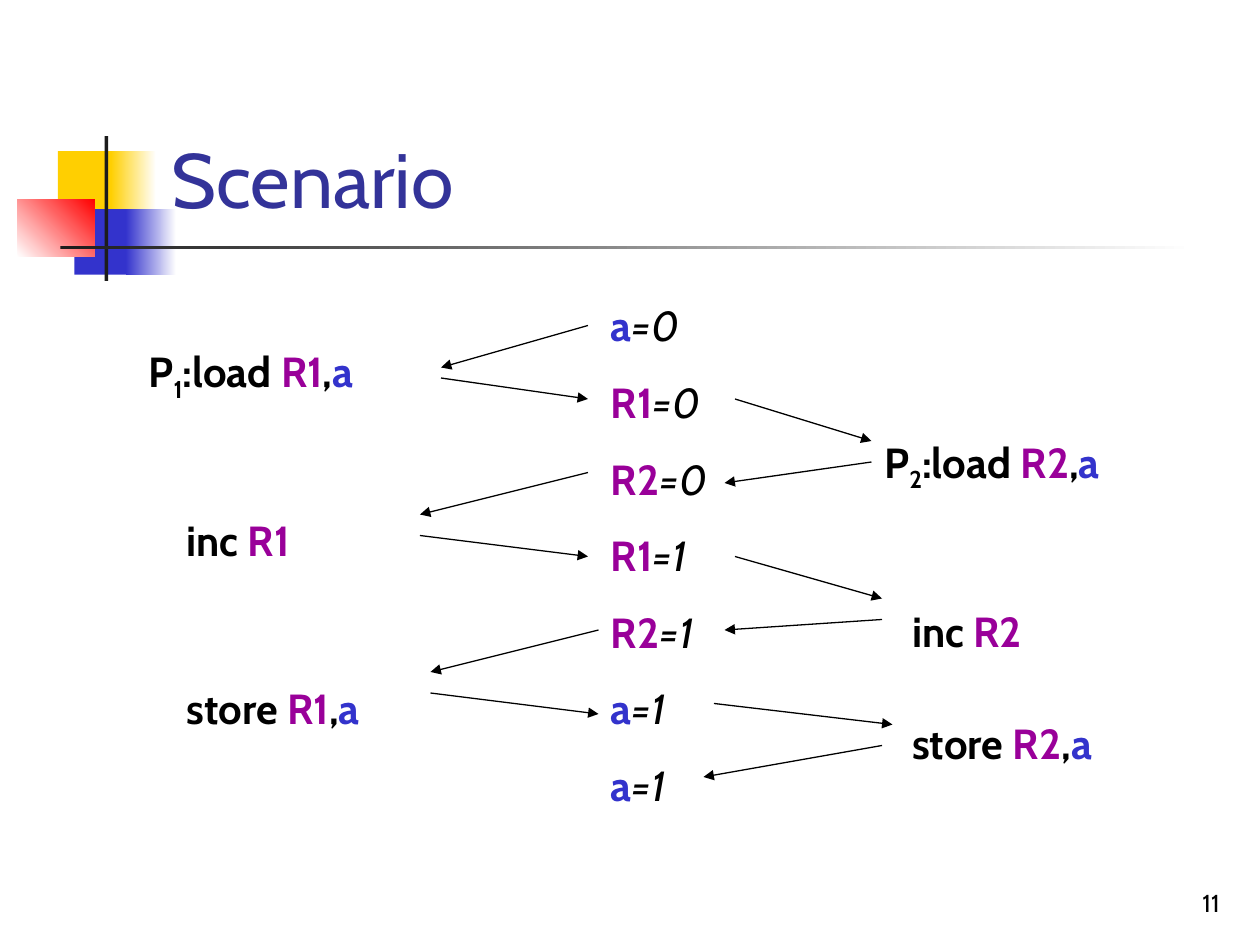
from dataclasses import dataclass

from lxml.etree import SubElement
from pptx import Presentation
from pptx.dml.color import RGBColor
from pptx.enum.shapes import MSO_CONNECTOR, MSO_SHAPE
from pptx.enum.text import MSO_ANCHOR, MSO_AUTO_SIZE, PP_ALIGN
from pptx.oxml.ns import qn
from pptx.util import Inches, Pt

FONT = "Cabin"
BLACK = RGBColor(0x00, 0x00, 0x00)
WHITE = RGBColor(0xFF, 0xFF, 0xFF)
CHARCOAL = RGBColor(0x1C, 0x1C, 0x1C)
YELLOW = RGBColor(0xFF, 0xCF, 0x01)
RED = RGBColor(0xFF, 0x00, 0x00)
BLUE = RGBColor(0x33, 0x33, 0xCC)
NAVY = RGBColor(0x33, 0x33, 0x99)
PURPLE = RGBColor(0x99, 0x00, 0x99)

CELL = Inches(1) // 12  # the slide is a grid of 120 columns and 90 rows


@dataclass
class Span:
    text: str
    color: RGBColor = BLACK
    bold: bool = True
    italic: bool = False
    subscript: bool = False


@dataclass
class Line:
    spans: list[Span]
    space_before: float = 0
    indent: float = 0


@dataclass
class Ornament:
    left: float
    top: float
    width: float
    height: float
    start: RGBColor
    end: RGBColor | None = None
    angle: int = 0


@dataclass
class Arrow:
    from_column: int
    from_row: int
    to_column: int
    to_row: int


R1, R2 = Span("R1", PURPLE), Span("R2", PURPLE)
A, COMMA = Span("a", BLUE), Span(",")

ORNAMENTS = [
    Ornament(0.46, 1.2, 0.48, 0.52, YELLOW),
    Ornament(0.88, 1.2, 0.36, 0.52, YELLOW, WHITE),
    Ornament(0.59, 1.66, 0.46, 0.52, BLUE),
    Ornament(1, 1.66, 0.4, 0.52, BLUE, WHITE),
    Ornament(0.14, 1.58, 0.61, 0.46, WHITE, RED, 45),
    Ornament(0.83, 1.08, 0.03, 1.15, CHARCOAL),
    Ornament(0.48, 1.95, 9, 0.03, CHARCOAL, WHITE),
]

ARROWS = [
    Arrow(56, 31, 42, 35), Arrow(42, 36, 56, 38),
    Arrow(70, 38, 83, 42), Arrow(83, 44, 69, 46),
    Arrow(56, 45, 40, 49), Arrow(40, 51, 56, 53),
    Arrow(70, 53, 84, 57), Arrow(84, 59, 69, 60),
    Arrow(57, 60, 41, 64), Arrow(41, 66, 57, 68),
    Arrow(68, 67, 85, 69), Arrow(84, 71, 67, 74),
]

STATES = [(A, 0), (R1, 0), (R2, 0), (R1, 1), (R2, 1), (A, 1), (A, 1)]


def process_lines(number: int, register: Span, indent: float,
                  gaps: tuple[float, float]) -> list[Line]:
    """The load, inc and store steps of one process."""
    return [
        Line([Span("P"), Span(str(number), subscript=True), Span(":load "),
              register, COMMA, A]),
        Line([Span("inc "), register], gaps[0], indent),
        Line([Span("store "), register, COMMA, A], gaps[1], indent),
    ]


def place(shape, left: float, top: float, width: float, height: float) -> None:
    shape.left, shape.top = Inches(left), Inches(top)
    shape.width, shape.height = Inches(width), Inches(height)


def add_ornament(page, item: Ornament) -> None:
    shape = page.shapes.add_shape(
        MSO_SHAPE.RECTANGLE, Inches(item.left), Inches(item.top),
        Inches(item.width), Inches(item.height))
    shape.shadow.inherit = False
    shape.line.fill.background()
    if item.end is None:
        shape.fill.solid()
        shape.fill.fore_color.rgb = item.start
        return
    shape.fill.gradient()
    shape.fill.gradient_angle = item.angle
    for stop, color in zip(shape.fill.gradient_stops, (item.start, item.end)):
        stop.color.rgb = color


def add_arrow(page, arrow: Arrow) -> None:
    connector = page.shapes.add_connector(
        MSO_CONNECTOR.STRAIGHT,
        arrow.from_column * CELL, arrow.from_row * CELL,
        arrow.to_column * CELL, arrow.to_row * CELL)
    connector.line.color.rgb = BLACK
    connector.line.width = Pt(0.75)
    SubElement(connector.line._get_or_add_ln(), qn("a:tailEnd"), type="triangle")
    SubElement(connector._element.spPr, qn("a:effectLst"))


def write_lines(box, lines: list[Line], line_spacing: float = 1.0) -> None:
    frame = box.text_frame
    frame.word_wrap = True
    frame.auto_size = MSO_AUTO_SIZE.NONE
    for index, line in enumerate(lines):
        para = frame.add_paragraph() if index else frame.paragraphs[0]
        properties = para._p.get_or_add_pPr()
        properties.set("marL", str(Inches(line.indent)))
        properties.set("indent", "0")
        SubElement(properties, qn("a:buNone"))
        para.line_spacing = line_spacing
        para.space_before = Pt(line.space_before)
        for span in line.spans:
            run = para.add_run()
            run.text = span.text
            style(run.font, 24, span.color)
            run.font.bold, run.font.italic = span.bold, span.italic
            if span.subscript:
                run.font._element.set("baseline", "-25000")


def style(font, size: float, color: RGBColor) -> None:
    font.name, font.size = FONT, Pt(size)
    font.color.rgb = color


def add_box(page, left: float, top: float, width: float, height: float):
    return page.shapes.add_textbox(
        Inches(left), Inches(top), Inches(width), Inches(height))


def main() -> None:
    deck = Presentation()
    deck.slide_width, deck.slide_height = Inches(10), Inches(7.5)
    page = deck.slides.add_slide(deck.slide_layouts[1])
    title, body = page.placeholders

    for item in ORNAMENTS:
        add_ornament(page, item)
    for placeholder in (title, body):  # bring the text in front of the ornaments
        page.shapes._spTree.append(placeholder._element)

    place(title, 1.26, 0.23, 8.52, 1.6)
    title.text_frame.text = "Scenario"
    title.text_frame.vertical_anchor = MSO_ANCHOR.BOTTOM
    heading = title.text_frame.paragraphs[0]
    heading.alignment = PP_ALIGN.LEFT
    style(heading.runs[0].font, 44, NAVY)

    place(body, 1.08, 2.7, 2.67, 3.97)
    write_lines(body, process_lines(1, R1, 0.3, (70, 70)), 0.9)

    second = add_box(page, 6.92, 3.42, 2.5, 3.41)
    write_lines(second, process_lines(2, R2, 0.22, (70, 38)), 0.9)

    states = add_box(page, 4.75, 2.33, 1.17, 4.15)
    write_lines(states, [
        Line([name, Span(f"={value}", bold=False, italic=True)], 15 if index else 0)
        for index, (name, value) in enumerate(STATES)])

    for arrow in ARROWS:
        add_arrow(page, arrow)

    number = add_box(page, 7.7, 6.83, 2.08, 0.5)
    number.text_frame.text = "11"
    number.text_frame.word_wrap = True
    number.text_frame.vertical_anchor = MSO_ANCHOR.BOTTOM
    para = number.text_frame.paragraphs[0]
    para.alignment = PP_ALIGN.RIGHT
    style(para.runs[0].font, 14, BLACK)

    deck.save("out.pptx")


if __name__ == "__main__":
    main()
